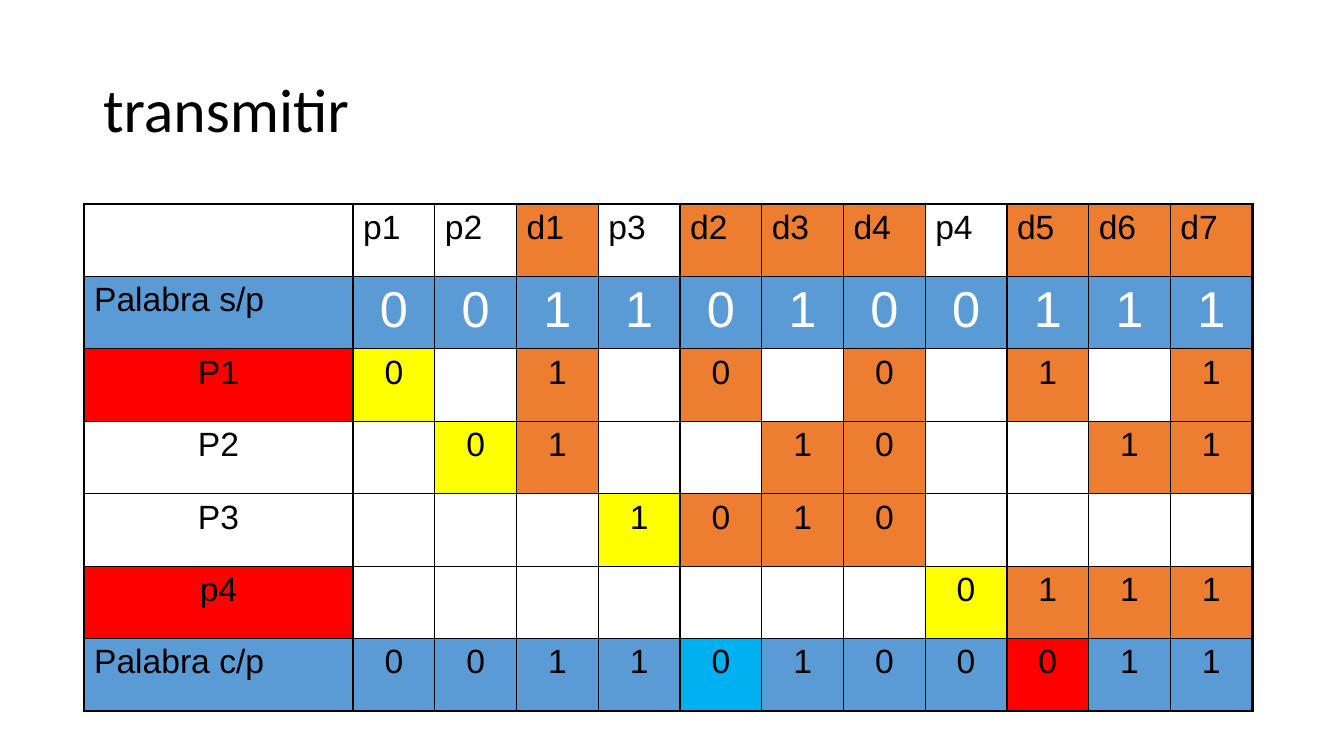
from lxml.etree import SubElement
from pptx import Presentation
from pptx.dml.color import RGBColor
from pptx.enum.text import MSO_ANCHOR, MSO_AUTO_SIZE, PP_ALIGN
from pptx.oxml.ns import qn
from pptx.util import Emu, Inches, Pt

PIXEL = Inches(1) / 100.8
BLACK, WHITE, BLUE, ORANGE = "000000", "FFFFFF", "5B9BD5", "ED7D31"
RED, YELLOW, CYAN = "FF0000", "FFFF00", "00B0F0"

BITS = "p1 p2 d1 p3 d2 d3 d4 p4 d5 d6 d7".split()
SENT_WORD = "00110100111"
CODED_WORD = "00110100011"
# Each check row: label, label fill, bits it covers (a dot is an empty cell).
CHECKS = [
    ("P1", RED, "0.1.0.0.1.1"),
    ("P2", WHITE, ".01..10..11"),
    ("P3", WHITE, "...1010...."),
    ("p4", RED, ".......0111"),
]
MARKED_BITS = {"d2": CYAN, "d5": RED}


def px(length):
    """Turn pixels into EMU."""
    return Emu(round(length * PIXEL))


def color(value):
    """Turn a hex string into a colour."""
    return RGBColor.from_string(value)


def write(para, text, font, size, ink, align=PP_ALIGN.LEFT):
    """Put one formatted span of text in a paragraph."""
    para.alignment = align
    span = para.add_run()
    span.text = text
    for name, value in {"name": font, "size": Pt(size)}.items():
        setattr(span.font, name, value)
    span.font.color.rgb = color(ink)


def add_title(page, text):
    """Place and fill the title placeholder."""
    title = page.shapes.title
    place = {"left": 93, "top": 40, "width": 1159, "height": 146}
    for name, value in place.items():
        setattr(title, name, px(value))
    frame = title.text_frame
    frame_format = {
        "word_wrap": True,
        "auto_size": MSO_AUTO_SIZE.NONE,
        "vertical_anchor": MSO_ANCHOR.MIDDLE,
    }
    for name, value in frame_format.items():
        setattr(frame, name, value)
    frame.paragraphs[0].line_spacing = 0.9
    write(frame.paragraphs[0], text, "Calibri", 44, BLACK)


def add_borders(cell, widths):
    """Draw the left, right, top and bottom cell borders, in points."""
    properties = cell._tc.get_or_add_tcPr()
    for side, width in zip("LRTB", widths):
        line = SubElement(properties, qn(f"a:ln{side}"), w=str(Pt(width)))
        fill = SubElement(line, qn("a:solidFill"))
        SubElement(fill, qn("a:srgbClr"), val=BLACK)


def fill_cell(cell, text, fill, size=24, ink=BLACK, align=PP_ALIGN.CENTER):
    """Set the fill and the text of a cell."""
    cell.fill.solid()
    cell.fill.fore_color.rgb = color(fill)
    if text:
        para = cell.text_frame.paragraphs[0]
        write(para, text, "Arial", size, ink, align)
        spacing = SubElement(para._p.get_or_add_pPr(), qn("a:spcBef"))
        SubElement(spacing, qn("a:spcPct"), val="20000")


def add_grid(page, row_count, column_count):
    """Add the plain table with thin inner lines and a thick frame."""
    width, height, label_width = 1168, 507, 269
    frame = page.shapes.add_table(
        row_count, column_count, px(84), px(204), px(width), px(height))
    table = frame.table
    for flag in ("first_row", "horz_banding"):
        setattr(table, flag, False)
    for row in table.rows:
        row.height = px(height / row_count)
    for index, column in enumerate(table.columns):
        bit_width = (width - label_width) / (column_count - 1)
        column.width = px(bit_width if index else label_width)
    for r in range(row_count):
        for c in range(column_count):
            on_frame = (c == 0, c == column_count - 1,
                        r == 0, r == row_count - 1)
            add_borders(table.cell(r, c), [2.25 if edge else 1 for edge in on_frame])
    return table


def fill_header(table):
    """Name the bits, with the data bits in orange."""
    fill_cell(table.cell(0, 0), "", WHITE)
    for column, bit in enumerate(BITS, 1):
        fill = ORANGE if bit.startswith("d") else WHITE
        fill_cell(table.cell(0, column), bit, fill, align=PP_ALIGN.LEFT)


def fill_word(table, row, label, word, marks, **text_format):
    """Fill a blue word row, with some bits marked by colour."""
    fill_cell(table.cell(row, 0), label, BLUE, align=PP_ALIGN.LEFT)
    for column, (bit, digit) in enumerate(zip(BITS, word), 1):
        fill_cell(table.cell(row, column), digit, marks.get(bit, BLUE), **text_format)


def fill_check(table, row, label, label_fill, digits):
    """Fill a check row: parity bit in yellow, covered data in orange."""
    fill_cell(table.cell(row, 0), label, label_fill)
    for column, (bit, digit) in enumerate(zip(BITS, digits), 1):
        cell = table.cell(row, column)
        if digit == ".":
            fill_cell(cell, "", WHITE)
        else:
            fill_cell(cell, digit, YELLOW if bit == label.lower() else ORANGE)


def main():
    """Build and save the deck."""
    deck = Presentation()
    deck.slide_width, deck.slide_height = Inches(13.33), Inches(7.5)
    page = deck.slides.add_slide(deck.slide_layouts[5])
    add_title(page, "transmitir")
    table = add_grid(page, len(CHECKS) + 3, len(BITS) + 1)
    fill_header(table)
    fill_word(table, 1, "Palabra s/p", SENT_WORD, {}, size=36, ink=WHITE)
    for row, check in enumerate(CHECKS, 2):
        fill_check(table, row, *check)
    fill_word(table, len(CHECKS) + 2, "Palabra c/p", CODED_WORD, MARKED_BITS)
    deck.save("out.pptx")


main()
